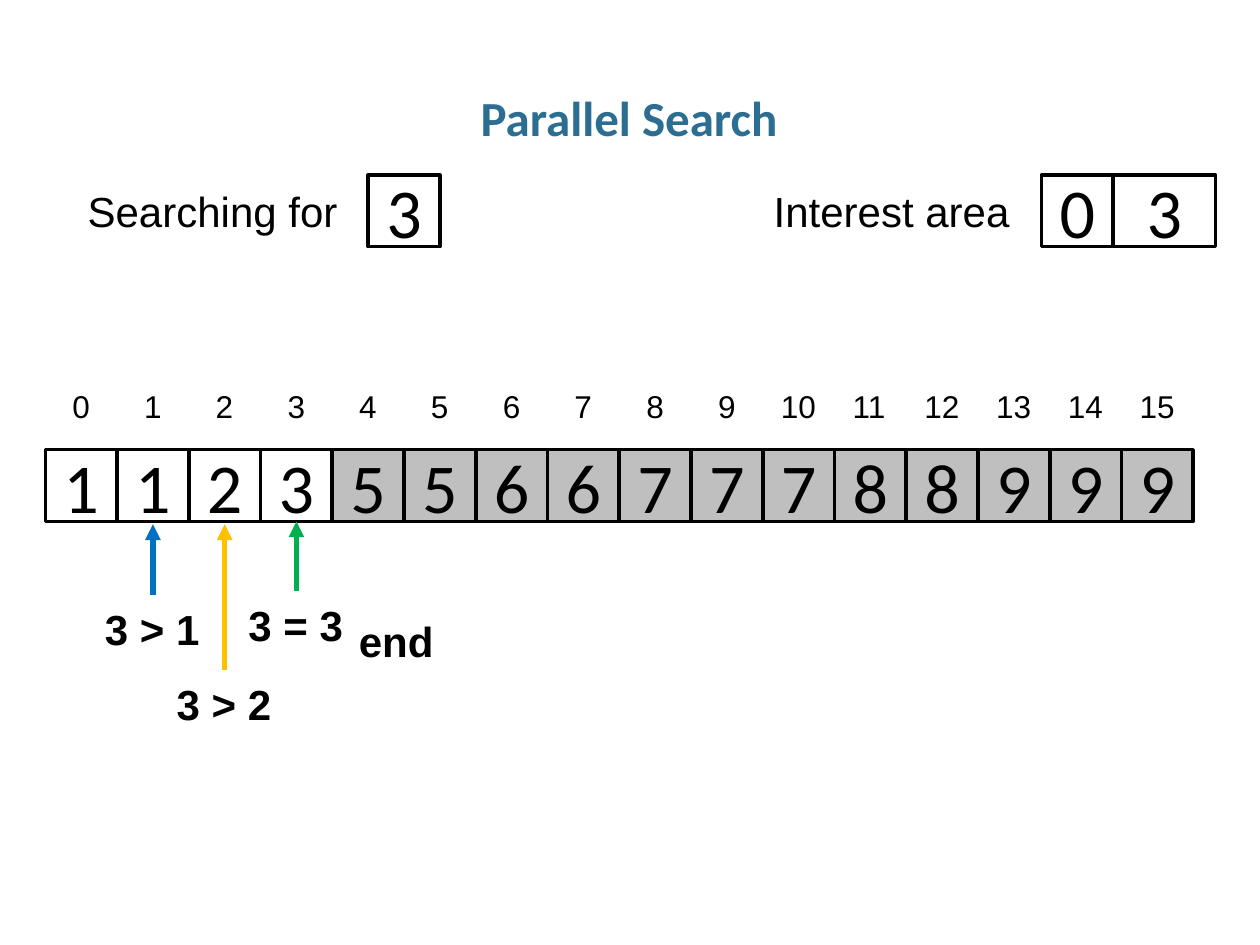
from lxml import etree
from pptx import Presentation
from pptx.dml.color import RGBColor
from pptx.enum.shapes import MSO_CONNECTOR, MSO_SHAPE
from pptx.enum.text import MSO_ANCHOR, MSO_AUTO_SIZE, PP_ALIGN
from pptx.oxml.ns import qn
from pptx.util import Pt

RECT = MSO_SHAPE.RECTANGLE
STRAIGHT = MSO_CONNECTOR.STRAIGHT
CENTER = PP_ALIGN.CENTER
MIDDLE = MSO_ANCHOR.MIDDLE
FIT_SHAPE = MSO_AUTO_SIZE.SHAPE_TO_FIT_TEXT

BLACK, GRAY = "000000", "BFBFBF"
CELL = 41
ARRAY_LEFT, ARRAY_TOP = 25.9, 257
HEADER_TOP = 100
VALUES = [1, 1, 2, 3, 5, 5, 6, 6, 7, 7, 7, 8, 8, 9, 9, 9]
INTEREST_END = 3

# index, arrow colour, arrow bottom, arrow top, comparison
COMPARISONS = [
    (1, "0070C0", 340, 299.6, "3 > 1"),
    (2, "FFC000", 383, 299.6, "3 > 2"),
    (3, "00B050", 337.5, 298, "3 = 3"),
]


def rgb(color):
    return RGBColor.from_string(color)


def cell_center(index):
    return ARRAY_LEFT + (index + 0.5) * CELL


def add_run(p, text, size, font, color=BLACK, bold=False):
    r = p.add_run()
    r.text = text
    r.font.size = Pt(size)
    r.font.name = font
    r.font.bold = bold
    r.font.color.rgb = rgb(color)


def add_title(s, text):
    tf = s.shapes.add_textbox(Pt(24.5), Pt(49), Pt(670), Pt(36)).text_frame
    tf.word_wrap = True
    tf.margin_left = tf.margin_right = 0
    p = tf.paragraphs[0]
    p.alignment = CENTER
    p.line_spacing = 0.95
    add_run(p, text, 28, "Calibri", "2C6D92", True)


def add_cell(s, left, top, value, width=CELL, fill=None):
    sp = s.shapes.add_shape(RECT, Pt(left), Pt(top), Pt(width), Pt(CELL))
    sp.shadow.inherit = False
    if fill:
        sp.fill.solid()
        sp.fill.fore_color.rgb = rgb(fill)
    else:
        sp.fill.background()
    sp.line.color.rgb = rgb(BLACK)
    sp.line.width = Pt(2)
    tf = sp.text_frame
    tf.vertical_anchor = MIDDLE
    p = tf.paragraphs[0]
    p.alignment = CENTER
    add_run(p, str(value), 40, "Calibri")


def add_label(s, left, top, width, text, size=24, bold=False):
    height = 36 if size == 24 else 29
    tf = s.shapes.add_textbox(Pt(left), Pt(top), Pt(width), Pt(height)).text_frame
    tf.word_wrap = False
    tf.auto_size = FIT_SHAPE
    add_run(tf.paragraphs[0], text, size, "Arial", bold=bold)


def add_up_arrow(s, x, bottom, top, color):
    line = s.shapes.add_connector(STRAIGHT, Pt(x), Pt(bottom), Pt(x), Pt(top))
    line.line.color.rgb = rgb(color)
    line.line.width = Pt(3)
    etree.SubElement(line.line._get_or_add_ln(), qn("a:tailEnd"), type="triangle")
    etree.SubElement(line._element.spPr, qn("a:effectLst"))


def add_array(s):
    for i, value in enumerate(VALUES):
        fill = GRAY if i > INTEREST_END else None
        add_cell(s, ARRAY_LEFT + i * CELL, ARRAY_TOP, value, fill=fill)
    for i in range(len(VALUES)):
        width = 24.4 if i < 10 else 34.4
        add_label(s, cell_center(i) - width / 2, 217.5, width, str(i), size=18)


def add_comparisons(s):
    width = 69
    for index, color, bottom, top, text in COMPARISONS:
        x = cell_center(index)
        add_up_arrow(s, x, bottom, top, color)
        add_label(s, x - width / 2, bottom + 1.3, width, text, bold=True)
    add_label(s, 198, 348, 57.6, "end", bold=True)


def add_header(s):
    add_label(s, 43, 102.5, 159, "Searching for")
    add_cell(s, 210.4, HEADER_TOP, 3)
    add_label(s, 435, 102.5, 150.5, "Interest area")
    add_cell(s, 595.2, HEADER_TOP, 0)
    add_cell(s, 595.2 + CELL, HEADER_TOP, INTEREST_END, width=58.3)


def main():
    prs = Presentation()
    prs.slide_width, prs.slide_height = Pt(720), Pt(540)
    s = prs.slides.add_slide(prs.slide_layouts[6])
    add_title(s, "Parallel Search")
    add_header(s)
    add_array(s)
    add_comparisons(s)
    prs.save("out.pptx")


if __name__ == "__main__":
    main()
